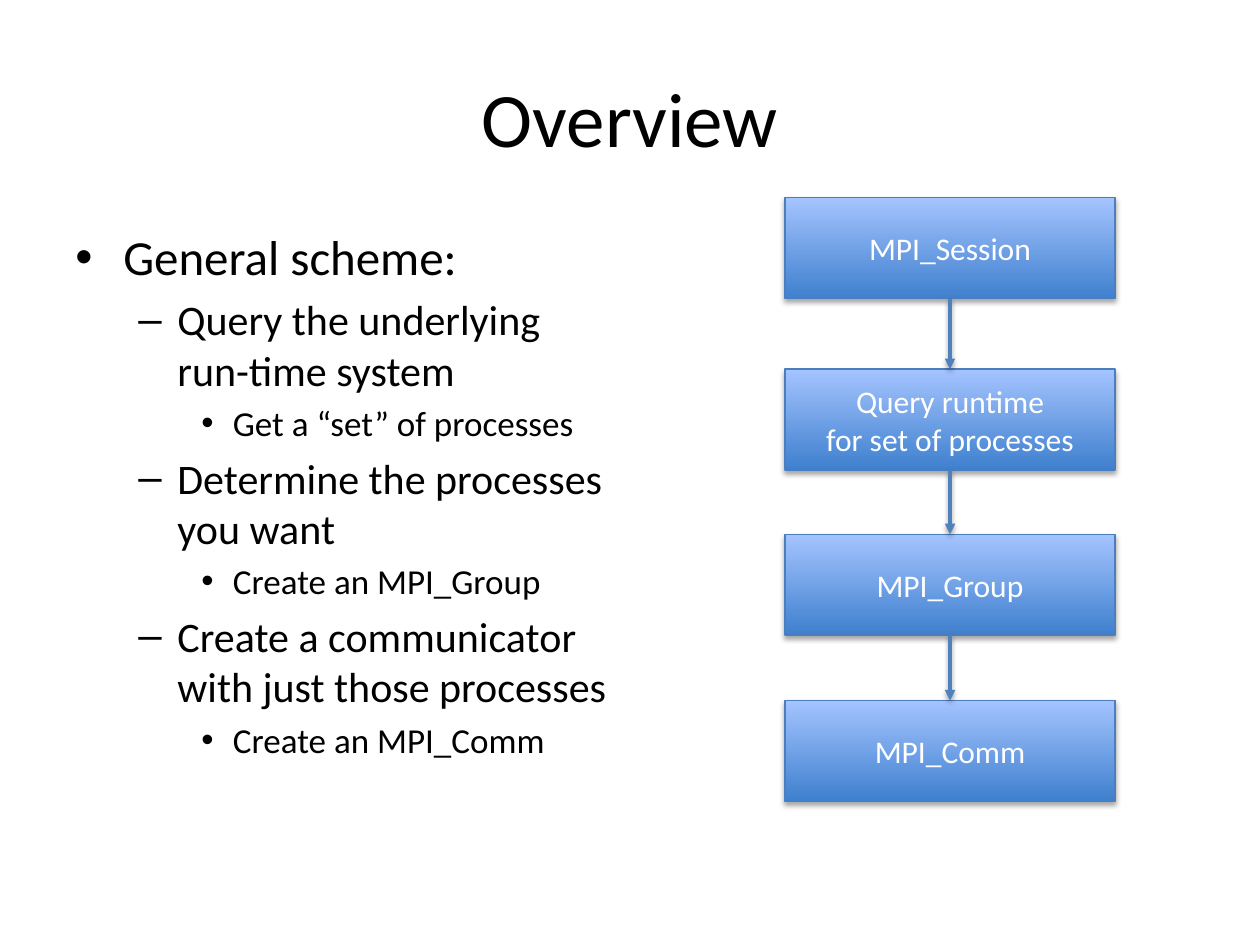
from lxml import etree
from pptx import Presentation, util as u
from pptx.dml.color import RGBColor
from pptx.enum import shapes, text
from pptx.oxml import ns

BLACK = RGBColor(0x00, 0x00, 0x00)
WHITE = RGBColor(0xFF, 0xFF, 0xFF)
DARK = RGBColor(0x3F, 0x80, 0xCE)
LIGHT = RGBColor(0xA4, 0xC4, 0xFF)
EDGE = RGBColor(0x4B, 0x7E, 0xBC)
ARROW = RGBColor(0x4F, 0x81, 0xBD)


def style(para, **form):
    for run in para.runs:
        for key, val in {"name": "Calibri", **form}.items():
            setattr(run.font, key, val)
        run.font.color.rgb = BLACK if para.level or not form.get("bold") is None else WHITE


def shade(props, alpha, dist):
    """Give a shape or connector a soft shadow falling straight down."""
    old = props.find(ns.qn("a:effectLst"))
    glow = etree.SubElement(props, ns.qn("a:effectLst")) if old is None else old
    drop = etree.SubElement(glow, ns.qn("a:outerShdw"), blurRad=str(u.Pt(3.1)),
                            dist=str(u.Pt(dist)), dir="5400000", rotWithShape="0")
    tint = etree.SubElement(drop, ns.qn("a:srgbClr"), val="000000")
    etree.SubElement(tint, ns.qn("a:alpha"), val=str(alpha * 1000))


deck = Presentation()
deck.slide_width, deck.slide_height = u.Inches(10), u.Inches(7.5)
slide = deck.slides.add_slide(deck.slide_layouts[6])
edge = u.Inches(0.5)

# Title
frame = slide.shapes.add_textbox(edge, u.Inches(0.3), deck.slide_width - 2 * edge,
                                 u.Inches(1.25)).text_frame
frame.word_wrap = True
frame.vertical_anchor = text.MSO_ANCHOR.MIDDLE
para = frame.paragraphs[0]
para.text = "Overview"
para.alignment = text.PP_ALIGN.CENTER
style(para, size=u.Pt(44), bold=False)

# Bulleted outline: level -> bullet, text indent, hanging indent, size
ranks = [("•", 0.38, 0.38, 28), ("–", 0.81, 0.31, 24), ("•", 1.25, 0.25, 20)]
items = [
    (0, "General scheme:"),
    (1, "Query the underlying run-time system"),
    (2, "Get a “set” of processes"),
    (1, "Determine the processes you want"),
    (2, "Create an MPI_Group"),
    (1, "Create a communicator with just those processes"),
    (2, "Create an MPI_Comm"),
]
frame = slide.shapes.add_textbox(edge, u.Inches(1.75), u.Inches(4.42),
                                 u.Inches(4.95)).text_frame
frame.word_wrap = True
for num, (rank, words) in enumerate(items):
    para = frame.add_paragraph() if num else frame.paragraphs[0]
    mark, left, hang, size = ranks[rank]
    para.text, para.level = words, rank
    para.space_before = u.Pt(0.2 * size if num else 0)
    props = para._p.get_or_add_pPr()
    props.set("marL", str(u.Inches(left)))
    props.set("indent", str(-u.Inches(hang)))
    etree.SubElement(props, ns.qn("a:buFont"), typeface="Arial")
    etree.SubElement(props, ns.qn("a:buChar"), char=mark)
    style(para, size=u.Pt(size), bold=False)

# Flow of boxes, top to bottom
left, wide, high = u.Inches(6.23), u.Inches(2.62), u.Inches(0.8)
steps = [
    (1.57, "MPI_Session"),
    (2.93, "Query runtime\vfor set of processes"),
    (4.24, "MPI_Group"),
    (5.56, "MPI_Comm"),
]
for top, words in steps:
    box = slide.shapes.add_shape(shapes.MSO_SHAPE.RECTANGLE, left, u.Inches(top), wide, high)
    box.fill.gradient()
    box.fill.gradient_angle = 90
    for stop, color in zip(box.fill.gradient_stops, (DARK, LIGHT)):
        stop.color.rgb = color
    box.line.color.rgb, box.line.width = EDGE, u.Pt(0.75)
    box.shadow.inherit = False
    shade(box._element.spPr, 35, 1.8)
    box.text_frame.word_wrap = True
    box.text_frame.vertical_anchor = text.MSO_ANCHOR.MIDDLE
    para = box.text_frame.paragraphs[0]
    para.text = words
    para.alignment = text.PP_ALIGN.CENTER
    style(para, size=u.Pt(18))

# Arrows from each box to the next
mid = left + wide // 2
for (top, _), (low, _) in zip(steps, steps[1:]):
    link = slide.shapes.add_connector(shapes.MSO_CONNECTOR.STRAIGHT, mid,
                                      u.Inches(top) + high, mid, u.Inches(low))
    link.line.color.rgb, link.line.width = ARROW, u.Pt(2)
    etree.SubElement(link.line._get_or_add_ln(), ns.qn("a:tailEnd"), type="triangle")
    shade(link._element.spPr, 38, 1.6)

deck.save("out.pptx")
